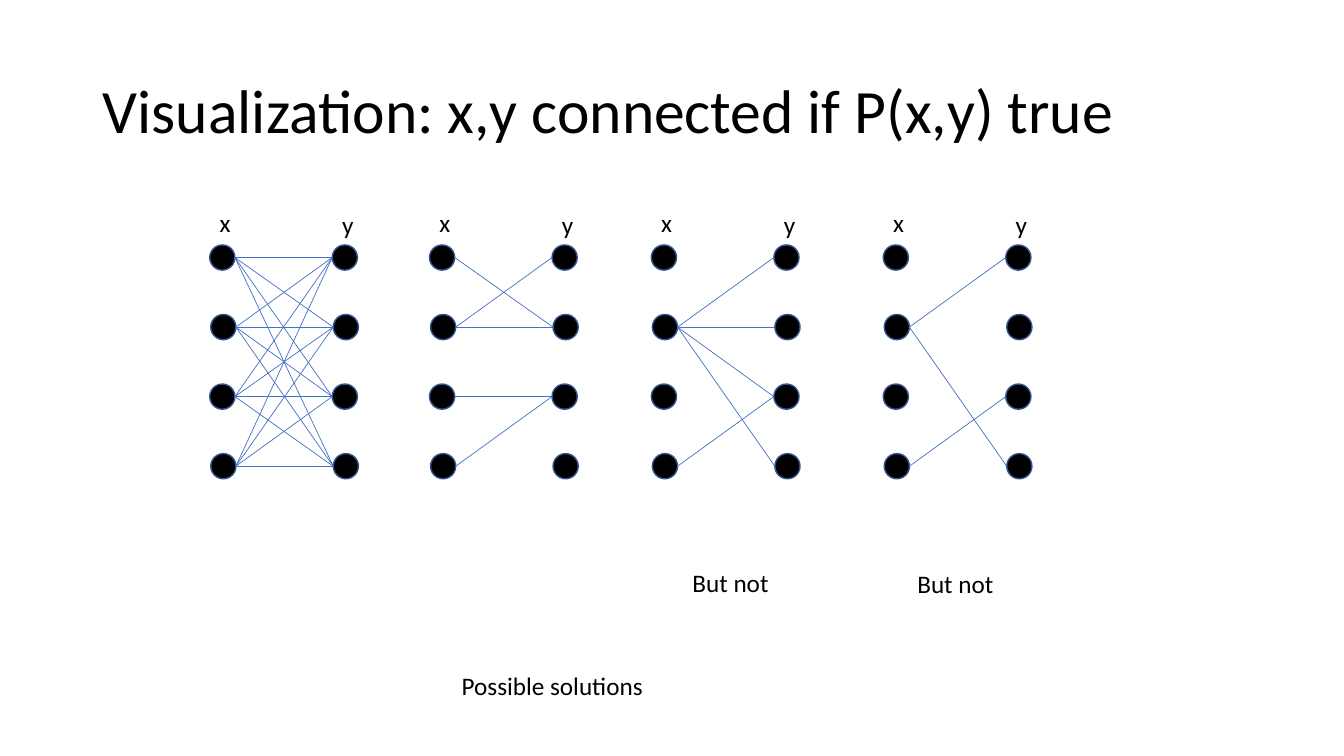
from lxml import etree
from pptx import Presentation
from pptx import util as u
from pptx.dml.color import RGBColor
from pptx.enum import shapes, text
from pptx.oxml.ns import qn

COLORS = {"ink": "000000", "rim": "325491", "edge": "4472C4"}
DOT = 0.25
ROWS = 4
ROW_TOP = 2.43
ROW_STEP = 0.69
ODD_SHIFT = 0.01
COLUMN_GAP = 1.215
LABEL_HEIGHT = 0.4

GRAPHS = [
    (2.08, [(x, y) for x in range(ROWS) for y in range(ROWS)]),
    (4.26, [(0, 1), (1, 0), (1, 1), (2, 2), (3, 2)]),
    (6.46, [(1, 0), (1, 1), (1, 3), (3, 2), (1, 2)]),
    (8.76, [(1, 0), (1, 3), (3, 2)]),
]
CAPTIONS = [
    ("Possible solutions", 4.48, 6.6, 2.02),
    ("But not", 6.77, 5.58, 0.96),
    ("But not", 9, 5.59, 0.96),
]


def write(frame, words, size):
    para = frame.paragraphs[0]
    para.alignment = text.PP_ALIGN.LEFT
    span = para.add_run()
    span.text = words
    span.font.size = u.Pt(size)
    span.font.name = "Calibri"
    span.font.color.rgb = RGBColor.from_string(COLORS["ink"])
    return para


def add_label(words, left, top, width):
    box = page.shapes.add_textbox(
        u.Inches(left), u.Inches(top), u.Inches(width), u.Inches(LABEL_HEIGHT))
    box.text_frame.word_wrap = False
    box.text_frame.auto_size = text.MSO_AUTO_SIZE.SHAPE_TO_FIT_TEXT
    write(box.text_frame, words, 18)


deck = Presentation()
deck.slide_width = u.Inches(13.33)
deck.slide_height = u.Inches(7.5)
page = deck.slides.add_slide(deck.slide_layouts[5])

title = page.shapes.title
title.left, title.top = u.Inches(0.92), u.Inches(0.4)
title.width, title.height = u.Inches(11.5), u.Inches(1.45)
title.text_frame.vertical_anchor = text.MSO_ANCHOR.MIDDLE
title.text_frame.auto_size = text.MSO_AUTO_SIZE.NONE
heading = write(title.text_frame, "Visualization: x,y connected if P(x,y) true", 44)
heading.line_spacing = 0.9

for graph_left, pairs in GRAPHS:
    y_left = graph_left + COLUMN_GAP
    for column_left in (graph_left, y_left):
        for row in range(ROWS):
            dot = page.shapes.add_shape(
                shapes.MSO_SHAPE.OVAL,
                u.Inches(column_left + row % 2 * ODD_SHIFT),
                u.Inches(ROW_TOP + row * ROW_STEP),
                u.Inches(DOT), u.Inches(DOT))
            dot.shadow.inherit = False
            dot.fill.solid()
            dot.fill.fore_color.rgb = RGBColor.from_string(COLORS["ink"])
            dot.line.color.rgb = RGBColor.from_string(COLORS["rim"])
            dot.line.width = u.Pt(1)

    add_label("x", graph_left, 2.01, 0.31)
    add_label("y", y_left, 2.03, 0.32)

    for x, y in pairs:
        edge = page.shapes.add_connector(
            shapes.MSO_CONNECTOR.STRAIGHT,
            u.Inches(graph_left + DOT + x % 2 * ODD_SHIFT),
            u.Inches(ROW_TOP + x * ROW_STEP + DOT / 2),
            u.Inches(y_left + y % 2 * ODD_SHIFT),
            u.Inches(ROW_TOP + y * ROW_STEP + DOT / 2))
        edge.line.color.rgb = RGBColor.from_string(COLORS["edge"])
        edge.line.width = u.Pt(0.5)
        etree.SubElement(edge._element.spPr, qn("a:effectLst"))

for words, left, top, width in CAPTIONS:
    add_label(words, left, top, width)

deck.save("out.pptx")
